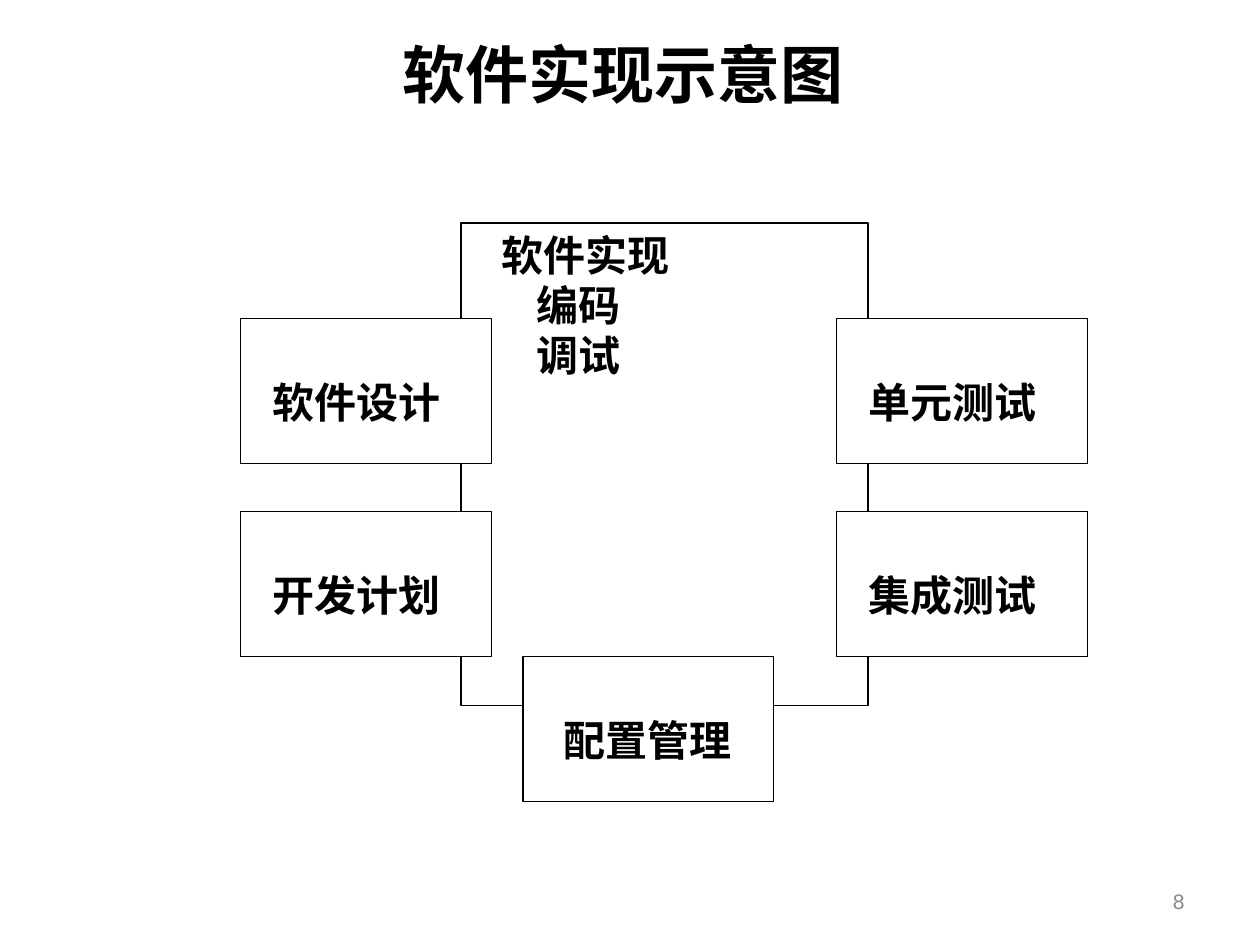
"""Build the software implementation diagram slide."""
from pptx import Presentation
from pptx.dml.color import RGBColor
from pptx.enum.shapes import MSO_SHAPE
from pptx.enum.text import MSO_ANCHOR, PP_ALIGN
from pptx.oxml.ns import qn
from pptx.util import Inches, Pt

COLORS = {"ink": "000000", "paper": "FFFFFF", "number": "898989"}
CJK_FONT = "Noto Sans CJK SC"


def add_text(paragraph, text, font_name, size, color, bold, alignment):
    paragraph.alignment = alignment
    run = paragraph.add_run()
    run.text = text
    run.font.name = font_name
    run.font.size = Pt(size)
    run.font.bold = bold
    run.font.color.rgb = RGBColor.from_string(COLORS[color])
    east_asian = run.font._element.makeelement(qn("a:ea"), {"typeface": CJK_FONT})
    run.font._element.append(east_asian)


def add_box(shapes, left, top, width, height, inset_left, inset_top):
    shape = shapes.add_shape(MSO_SHAPE.RECTANGLE, Inches(left), Inches(top),
                             Inches(width), Inches(height))
    shape.shadow.inherit = False
    shape.fill.solid()
    shape.fill.fore_color.rgb = RGBColor.from_string(COLORS["paper"])
    shape.line.color.rgb = RGBColor.from_string(COLORS["ink"])
    shape.line.width = Pt(0.75)
    frame = shape.text_frame
    frame.word_wrap = True
    frame.vertical_anchor = MSO_ANCHOR.TOP
    frame.margin_left = Inches(inset_left)
    frame.margin_top = Inches(inset_top)
    return frame


presentation = Presentation()
presentation.slide_width = Inches(10)
presentation.slide_height = Inches(7.5)
slide = presentation.slides.add_slide(presentation.slide_layouts[5])

title = slide.shapes.title
title.left, title.top = Inches(0.33), Inches(0.25)
title.width, title.height = Inches(9.34), Inches(0.66)
title.text_frame.vertical_anchor = MSO_ANCHOR.MIDDLE
title.text_frame.margin_right = Inches(0.21)
add_text(title.text_frame.paragraphs[0], "软件实现示意图", "Calibri", 36, "ink", True,
         PP_ALIGN.CENTER)

diagram = slide.shapes.add_group_shape()

core_frame = add_box(diagram.shapes, 3.66, 1.77, 3.23, 3.83, 0.1, 0.05)
core_lines = [("软件实现", 0, 0.22), ("编码", 1, 0.5), ("调试", 1, 0.5)]
for index, (text, level, indent) in enumerate(core_lines):
    paragraph = core_frame.add_paragraph() if index else core_frame.paragraphs[0]
    paragraph.level = level
    properties = paragraph._p.get_or_add_pPr()
    properties.set("marL", str(Inches(indent)))
    properties.set("indent", "0")
    add_text(paragraph, text, CJK_FONT, 24, "ink", True, PP_ALIGN.JUSTIFY)

activities = [
    ("软件设计", 1.91, 2.53, 0.25),
    ("单元测试", 6.64, 2.53, 0.25),
    ("集成测试", 6.64, 4.06, 0.25),
    ("开发计划", 1.91, 4.06, 0.25),
    ("配置管理", 4.15, 5.21, 0.32),
]
for text, left, top, inset_left in activities:
    frame = add_box(diagram.shapes, left, top, 1.99, 1.15, inset_left, 0.46)
    add_text(frame.paragraphs[0], text, "Times New Roman", 24, "ink", True,
             PP_ALIGN.JUSTIFY)

number_box = slide.shapes.add_textbox(Inches(7.17), Inches(6.95), Inches(2.33), Inches(0.4))
number_box.text_frame.word_wrap = True
number_box.text_frame.vertical_anchor = MSO_ANCHOR.MIDDLE
add_text(number_box.text_frame.paragraphs[0], "8", "Arial", 12, "number", False,
         PP_ALIGN.RIGHT)

presentation.save("out.pptx")
